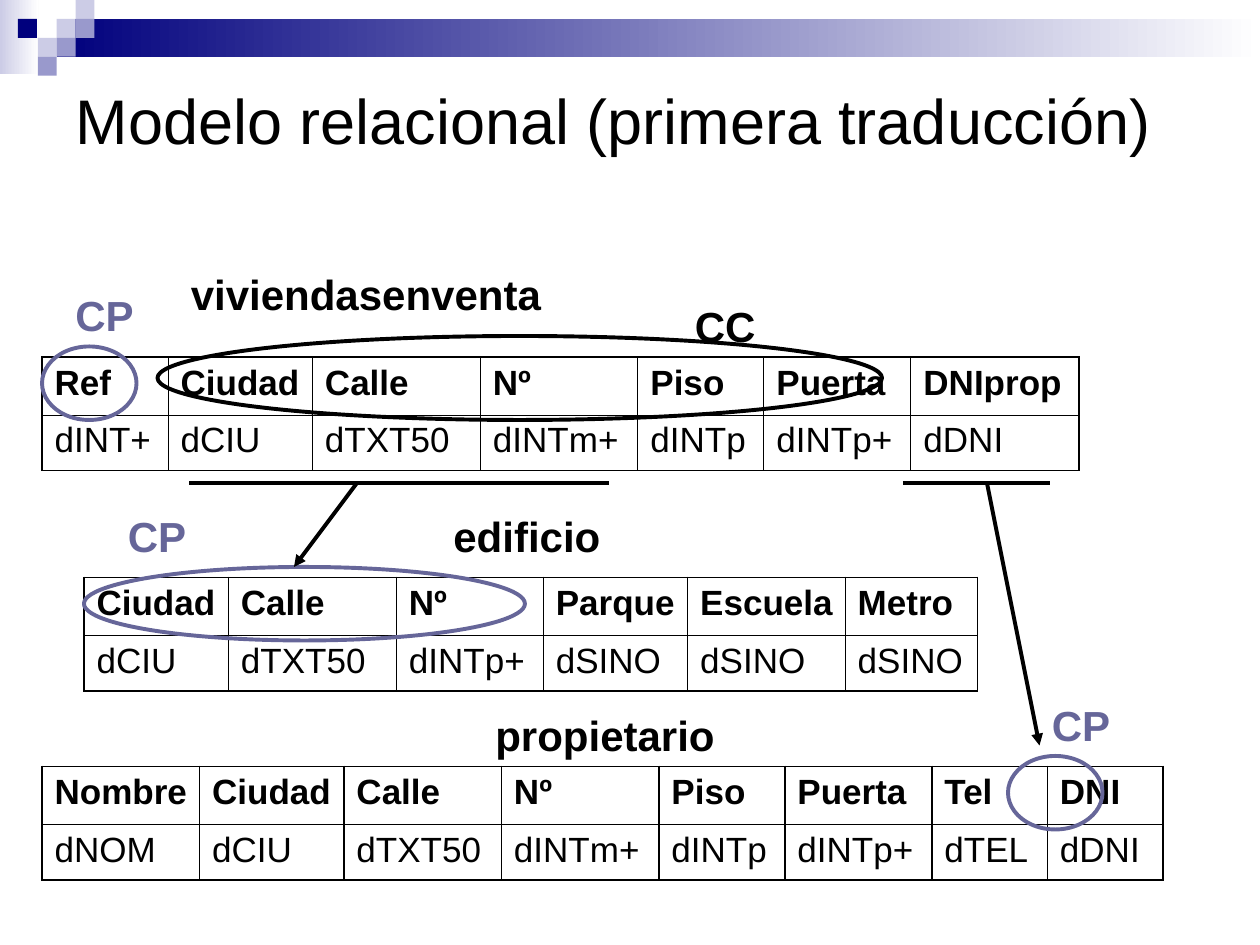
from dataclasses import dataclass

from lxml.etree import SubElement
from pptx import Presentation
from pptx.dml.color import RGBColor
from pptx.enum.shapes import MSO_CONNECTOR, MSO_SHAPE
from pptx.enum.text import MSO_ANCHOR, MSO_AUTO_SIZE, PP_ALIGN
from pptx.oxml.ns import qn
from pptx.util import Inches, Pt

FONT = "Arial"
BLACK, KEY, NAVY, LILAC, PALE, WHITE = (
    "000000", "666699", "00007D", "9999CC", "CCCCE6", "FFFFFF")
THIN, THICK, STROKE = 0.45, 1.08, 2.25
SQUARE = 0.15  # side of a corner square, inches


@dataclass
class Relation:
    col: float
    row: float
    widths: list[float]
    names: list[str]
    domains: list[str]
    divider: float = THIN


@dataclass
class Ring:
    col: float
    row: float
    width: float
    height: float
    color: str = KEY


@dataclass
class Label:
    text: str
    col: float
    row: float
    width: float
    color: str = BLACK


@dataclass
class Link:
    start: tuple[float, float]
    end: tuple[float, float]
    arrow: bool = False


def grid(n: float) -> int:
    """The slide is a grid of 120 columns by 90 rows, 12 to the inch."""
    return Inches(n / 12)


def rgb(value: str) -> RGBColor:
    return RGBColor.from_string(value)


def style(p, size: float, color: str, bold: bool = False) -> None:
    p.alignment = PP_ALIGN.LEFT
    p.font.name, p.font.size, p.font.bold = FONT, Pt(size), bold
    p.font.color.rgb = rgb(color)


def add_block(s, x: float, y: float, w: float, h: float, *colors: str) -> None:
    """Rectangle in squares; two colours make a left-to-right gradient."""
    sp = s.shapes.add_shape(MSO_SHAPE.RECTANGLE,
                            *(Inches(v * SQUARE) for v in (x, y, w, h)))
    sp.shadow.inherit = False
    sp.line.fill.background()
    if len(colors) == 1:
        sp.fill.solid()
        sp.fill.fore_color.rgb = rgb(colors[0])
        return
    sp.fill.gradient()
    sp.fill.gradient_angle = 0
    for stop, color in zip(sp.fill.gradient_stops, colors):
        stop.color.rgb = rgb(color)


def set_borders(cell, **weights: float) -> None:
    tcPr = cell._tc.get_or_add_tcPr()
    for side in "LRTB":
        ln = SubElement(tcPr, qn(f"a:ln{side}"), w=str(Pt(weights[side])))
        fill = SubElement(ln, qn("a:solidFill"))
        SubElement(fill, qn("a:srgbClr"), val=BLACK)


def add_relation(s, rel: Relation) -> None:
    heights = Inches(0.46), Inches(0.44)
    frame = s.shapes.add_table(2, len(rel.widths), grid(rel.col), grid(rel.row),
                               grid(sum(rel.widths)), sum(heights))
    table = frame.table
    table.first_row = table.horz_banding = False
    for column, width in zip(table.columns, rel.widths):
        column.width = grid(width)
    last = len(rel.widths) - 1
    for r, texts in enumerate((rel.names, rel.domains)):
        table.rows[r].height = heights[r]
        for c, text in enumerate(texts):
            cell = table.cell(r, c)
            cell.text = text
            cell.margin_right = Inches(0.05)  # keeps the long names on one line
            style(cell.text_frame.paragraphs[0], 20, BLACK, bold=r == 0)
            set_borders(cell,
                        L=THICK if c == 0 else rel.divider,
                        R=THICK if c == last else rel.divider,
                        T=THICK if r == 0 else THIN,
                        B=THIN if r == 0 else THICK)
            cell.fill.background()


def add_ring(s, ring: Ring) -> None:
    sp = s.shapes.add_shape(MSO_SHAPE.OVAL, grid(ring.col), grid(ring.row),
                            grid(ring.width), grid(ring.height))
    sp.shadow.inherit = False
    sp.fill.background()
    sp.line.color.rgb = rgb(ring.color)
    sp.line.width = Pt(STROKE)


def add_label(s, label: Label) -> None:
    box = s.shapes.add_textbox(grid(label.col), grid(label.row),
                               grid(label.width), grid(6))
    tf = box.text_frame
    tf.word_wrap = False
    tf.auto_size = MSO_AUTO_SIZE.SHAPE_TO_FIT_TEXT
    tf.text = label.text
    style(tf.paragraphs[0], 24, label.color, bold=True)


def add_link(s, link: Link) -> None:
    line = s.shapes.add_connector(MSO_CONNECTOR.STRAIGHT,
                                  *(grid(v) for v in link.start + link.end))
    line.line.color.rgb = rgb(BLACK)
    line.line.width = Pt(STROKE)
    if link.arrow:
        SubElement(line.line._get_or_add_ln(), qn("a:tailEnd"), type="triangle")
    SubElement(line._element.spPr, qn("a:effectLst"))


BLOCKS = [
    (0, 0, 2.05, 3.9, PALE, WHITE), (3, 1, 63.67, 2, NAVY, WHITE),
    (3, 1, 1, 1, PALE), (4, 0, 1, 1, PALE), (4, 1, 1, 1, LILAC),
    (2, 2, 1, 1, PALE), (0.95, 1, 1, 1, NAVY), (3, 2, 1, 1, LILAC),
    (2, 3, 1, 1, LILAC),
]
PARTS = [
    # viviendasenventa
    (add_relation, Relation(
        4, 34, [12, 13.75, 16, 15, 12, 14, 16],
        ["Ref", "Ciudad", "Calle", "Nº", "Piso", "Puerta", "DNIprop"],
        ["dINT+", "dCIU", "dTXT50", "dINTm+", "dINTp", "dINTp+", "dDNI"])),
    (add_ring, Ring(4, 33, 9, 7)),
    (add_label, Label("CP", 6, 27, 8, KEY)),
    (add_ring, Ring(15, 32, 69, 8, BLACK)),
    (add_label, Label("CC", 65, 28, 8.25)),
    (add_label, Label("viviendasenventa", 17, 25, 35.8)),
    # edificio
    (add_relation, Relation(
        8, 55, [13.75, 16, 14, 13.75, 15, 12.6],
        ["Ciudad", "Calle", "Nº", "Parque", "Escuela", "Metro"],
        ["dCIU", "dTXT50", "dINTp+", "dSINO", "dSINO", "dSINO"])),
    (add_ring, Ring(8, 54, 42, 7)),
    (add_label, Label("CP", 11, 48, 8, KEY)),
    (add_label, Label("edificio", 42, 48, 16.5)),
    # propietario
    (add_relation, Relation(
        4, 73, [15, 13.75, 15, 15, 12, 14, 11, 11],
        ["Nombre", "Ciudad", "Calle", "Nº", "Piso", "Puerta", "Tel", "DNI"],
        ["dNOM", "dCIU", "dTXT50", "dINTm+", "dINTp", "dINTp+", "dTEL", "dDNI"],
        THICK)),
    (add_ring, Ring(96, 72, 9, 7)),
    (add_label, Label("CP", 99, 66, 8, KEY)),
    (add_label, Label("propietario", 46, 67, 23.3)),
    # foreign keys
    (add_link, Link((18, 46), (58, 46))),
    (add_link, Link((34, 46), (28, 54), arrow=True)),
    (add_link, Link((86, 46), (100, 46))),
    (add_link, Link((94, 46), (99, 71), arrow=True)),
]


def main() -> None:
    prs = Presentation()
    prs.slide_width, prs.slide_height = grid(120), grid(90)
    s = prs.slides.add_slide(prs.slide_layouts[5])

    # Title, raised within its box
    title = s.shapes.title
    title.left, title.top, title.width, title.height = map(grid, (6, 6, 108, 18))
    tf = title.text_frame
    tf.text = "Modelo relacional (primera traducción)"
    tf.word_wrap = True
    tf.auto_size = MSO_AUTO_SIZE.NONE
    tf.vertical_anchor = MSO_ANCHOR.MIDDLE
    tf.margin_bottom = Inches(0.66)
    style(tf.paragraphs[0], 36, BLACK)

    # Corner decoration, then tables and annotations
    for block in BLOCKS:
        add_block(s, *block)
    for draw, part in PARTS:
        draw(s, part)
    prs.save("out.pptx")


if __name__ == "__main__":
    main()
